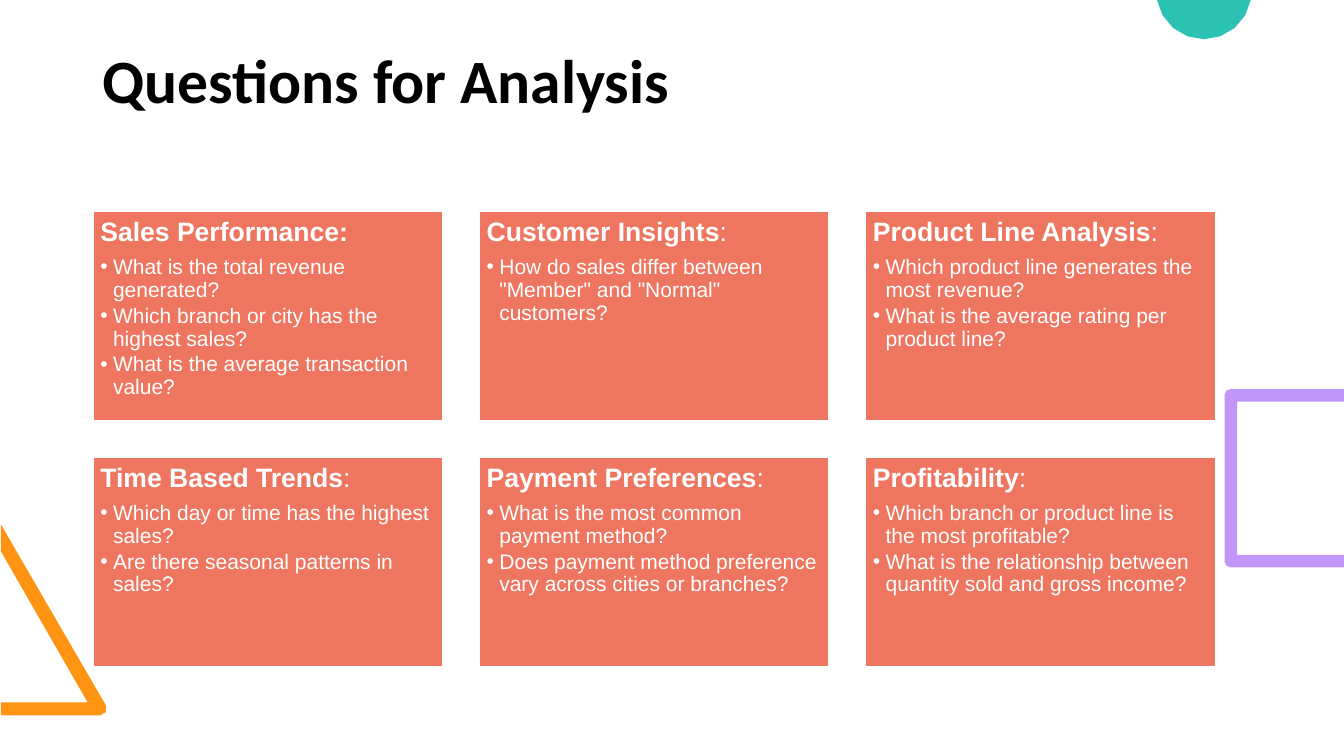
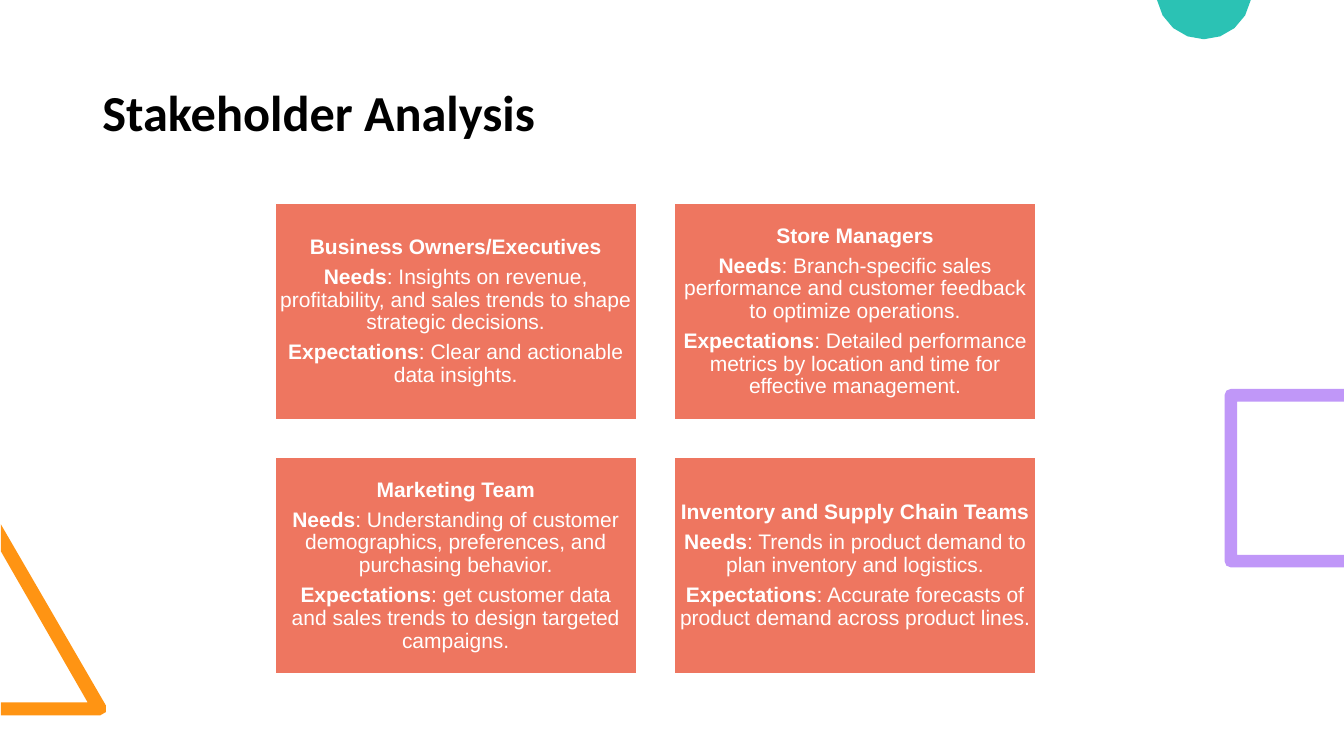
from math import cos, radians, sin

from lxml import etree
from pptx import Presentation
from pptx.dml.color import RGBColor
from pptx.enum.shapes import MSO_SHAPE
from pptx.enum.text import MSO_ANCHOR, PP_ALIGN
from pptx.oxml.ns import qn
from pptx.util import Cm, Pt

RECT = MSO_SHAPE.RECTANGLE
TOP, MIDDLE = MSO_ANCHOR.TOP, MSO_ANCHOR.MIDDLE
LEFT, CENTER = PP_ALIGN.LEFT, PP_ALIGN.CENTER

WIDTH, HEIGHT = 33.87, 19.05
COLORS = {
    "card": "EE7660",
    "white": "FFFFFF",
    "black": "000000",
    "teal": "2BC2B4",
    "orange": "FF9413",
    "purple": "C097F8",
}

# Content: (bold part, plain part) for each heading, then the lines below it
QUESTIONS = [
    (("Sales Performance:", ""), [
        "What is the total revenue generated?",
        "Which branch or city has the highest sales?",
        "What is the average transaction value?"]),
    (("Customer Insights", ":"), [
        'How do sales differ between "Member" and "Normal" customers?']),
    (("Product Line Analysis", ":"), [
        "Which product line generates the most revenue?",
        "What is the average rating per product line?"]),
    (("Time Based Trends", ":"), [
        "Which day or time has the highest sales?",
        "Are there seasonal patterns in sales?"]),
    (("Payment Preferences", ":"), [
        "What is the most common payment method?",
        "Does payment method preference vary across cities or branches?"]),
    (("Profitability", ":"), [
        "Which branch or product line is the most profitable?",
        "What is the relationship between quantity sold and gross income?"]),
]
STAKEHOLDERS = [
    ("Business Owners/Executives",
     "Insights on revenue, profitability, and sales trends to shape "
     "strategic decisions.",
     "Clear and actionable data insights."),
    ("Store Managers",
     "Branch-specific sales performance and customer feedback to optimize "
     "operations.",
     "Detailed performance metrics by location and time for effective "
     "management."),
    ("Marketing Team",
     "Understanding of customer demographics, preferences, and purchasing "
     "behavior.",
     "get customer data and sales trends to design targeted campaigns."),
    ("Inventory and Supply Chain Teams",
     "Trends in product demand to plan inventory and logistics.",
     "Accurate forecasts of product demand across product lines."),
]


def rgb(name):
    return RGBColor.from_string(COLORS[name])


def arc(x, y, radius, start, end, step):
    """Points along a circle, angles in degrees, clockwise from the right."""
    return [(x + radius * cos(radians(a)), y + radius * sin(radians(a)))
            for a in range(start, end + 1, step)]


def grid(left, top, width, columns, count):
    """Boxes with a 5:3 ratio and gaps of a tenth of their width."""
    height, gap = width * 0.6, width / 10
    for i in range(count):
        row, column = divmod(i, columns)
        yield (left + column * (width + gap), top + row * (height + gap),
               width, height)


class Deck:
    def __init__(self):
        self.prs = Presentation()
        self.prs.slide_width, self.prs.slide_height = Cm(WIDTH), Cm(HEIGHT)
        self.s = None

    def slide(self, title, size, title_height):
        self.s = self.prs.slides.add_slide(self.prs.slide_layouts[6])
        self.decor()
        self.title(title, size, title_height)

    def decor(self):
        # Triangle, circle and square cut off by the slide edges
        self.outline("orange", [(0.02, 18.03), (0.02, 17.7), (2.21, 17.7),
                                (0.02, 13.89), (0.02, 13.21),
                                *arc(2.52, 17.86, 0.17, -30, 90, 60)])
        self.outline("teal", [(x, max(y, 0))
                              for x, y in arc(30.34, -0.21, 1.2, 10, 170, 20)])
        self.outline("purple", [(WIDTH, 9.8), (WIDTH, 10.12), (31.18, 10.12),
                                (31.18, 13.98), (WIDTH, 13.98), (WIDTH, 14.3),
                                *arc(31.02, 14.14, 0.16, 90, 180, 45),
                                *arc(31.02, 9.96, 0.16, 180, 270, 45)])

    def outline(self, color, points):
        points = [(Cm(x), Cm(y)) for x, y in points]
        builder = self.s.shapes.build_freeform(*points[0])
        builder.add_line_segments(points[1:], close=True)
        sp = builder.convert_to_shape()
        sp.shadow.inherit = False
        sp.fill.solid()
        sp.fill.fore_color.rgb = rgb(color)
        sp.line.fill.background()

    def title(self, text, size, height):
        sp = self.s.shapes.add_textbox(Cm(2.33), Cm(0.84), Cm(29.21),
                                       Cm(height))
        tf = sp.text_frame
        tf.word_wrap, tf.vertical_anchor = True, MIDDLE
        self.paragraph(tf.paragraphs[0], (text, ""), size, 0, LEFT,
                       font="Calibri", color="black")

    def card(self, box, paragraphs, inset, anchor, align):
        """paragraphs: dicts with parts, size, after and optionally bullet."""
        sp = self.s.shapes.add_shape(RECT, *map(Cm, box))
        sp.shadow.inherit = False
        sp.fill.solid()
        sp.fill.fore_color.rgb = rgb("card")
        sp.line.color.rgb = rgb("white")
        sp.line.width = Pt(2)
        tf = sp.text_frame
        tf.word_wrap, tf.vertical_anchor = True, anchor
        for side in ("left", "top", "right", "bottom"):
            setattr(tf, f"margin_{side}", Cm(inset))
        for i, values in enumerate(paragraphs):
            p = tf.add_paragraph() if i else tf.paragraphs[0]
            self.paragraph(p, align=align, **values)

    def paragraph(self, p, parts, size, after, align, bullet=False,
                  font="Arial", color="white"):
        """after is the space below, as a share of the text size."""
        layout = {"alignment": align, "line_spacing": 0.9,
                  "space_before": Pt(0), "space_after": Pt(size * after)}
        for name, value in layout.items():
            setattr(p, name, value)
        if bullet:
            self.bullet(p, font)
        for text, bold in zip(parts, (True, False)):
            if not text:
                continue
            r = p.add_run()
            r.text = text
            style = {"name": font, "size": Pt(size), "bold": bold}
            for name, value in style.items():
                setattr(r.font, name, value)
            r.font.color.rgb = rgb(color)

    def bullet(self, p, font):
        pPr = p._p.get_or_add_pPr()
        indent = Cm(0.32)
        pPr.set("marL", str(indent))
        pPr.set("indent", str(-indent))
        etree.SubElement(pPr, qn("a:buFont")).set("typeface", font)
        etree.SubElement(pPr, qn("a:buChar")).set("char", "•")


def main():
    deck = Deck()

    # Questions: three columns of bulleted cards
    deck.slide("Questions for Analysis", 44, 2.54)
    boxes = grid(2.33, 5.31, 8.85, 3, len(QUESTIONS))
    for box, (heading, lines) in zip(boxes, QUESTIONS):
        paragraphs = [{"parts": heading, "size": 19, "after": 0.35}]
        paragraphs += [{"parts": ("", line), "size": 15, "after": 0.15,
                        "bullet": True} for line in lines]
        deck.card(box, paragraphs, 0.2, TOP, LEFT)

    # Stakeholders: two columns of centred cards
    deck.slide("Stakeholder Analysis", 36, 4.12)
    boxes = grid(6.91, 5.11, 9.15, 2, len(STAKEHOLDERS))
    for box, (name, needs, expectations) in zip(boxes, STAKEHOLDERS):
        rows = [(name, ""), ("Needs", f": {needs}"),
                ("Expectations", f": {expectations}")]
        paragraphs = [{"parts": row, "size": 15, "after": 0.35}
                      for row in rows]
        deck.card(box, paragraphs, 0.15, MIDDLE, CENTER)

    deck.prs.save("out.pptx")


if __name__ == "__main__":
    main()
